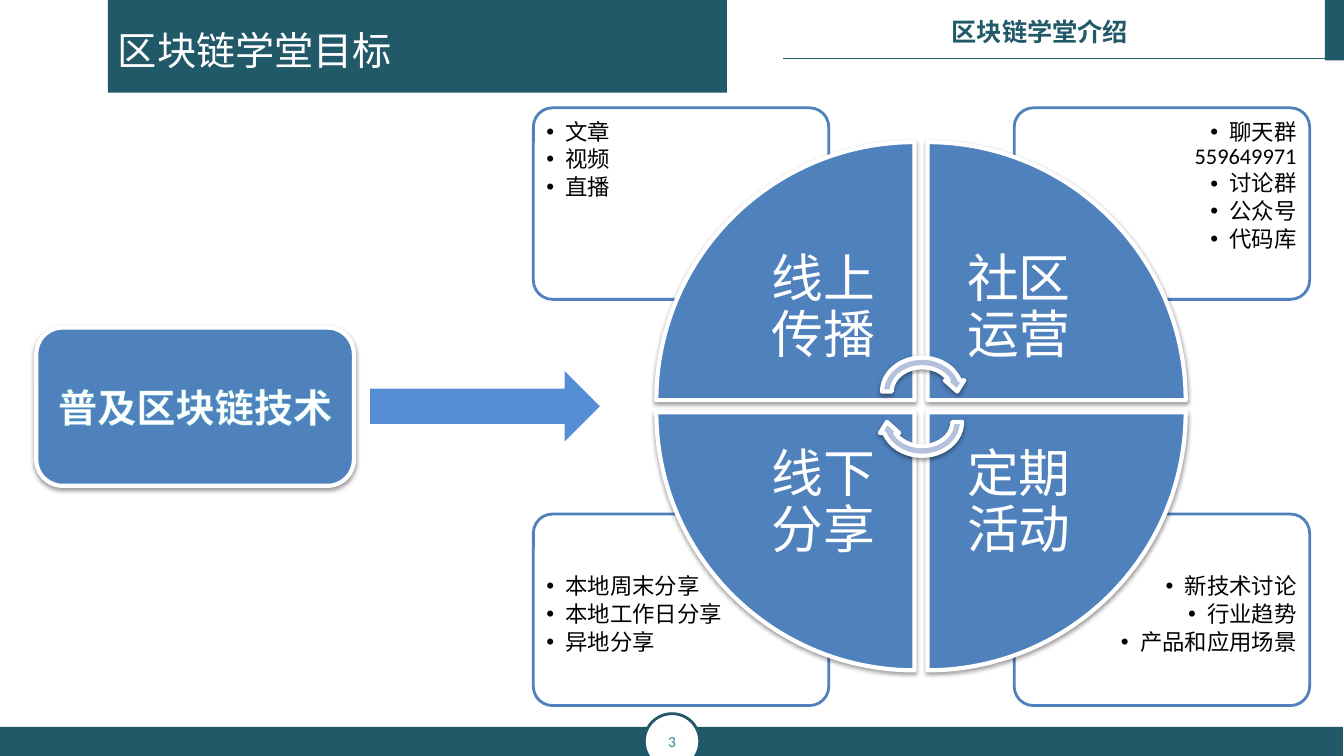
from dataclasses import dataclass

from lxml import etree
from pptx import Presentation
from pptx.dml.color import RGBColor
from pptx.enum.shapes import MSO_CONNECTOR, MSO_SHAPE
from pptx.enum.text import MSO_ANCHOR, MSO_AUTO_SIZE, PP_ALIGN
from pptx.oxml.ns import qn
from pptx.util import Emu, Pt

RECT, OVAL, ROUND = MSO_SHAPE.RECTANGLE, MSO_SHAPE.OVAL, MSO_SHAPE.ROUNDED_RECTANGLE
WEDGE, LOOP, ARROW = MSO_SHAPE.PIE_WEDGE, MSO_SHAPE.CIRCULAR_ARROW, MSO_SHAPE.RIGHT_ARROW
STRAIGHT = MSO_CONNECTOR.STRAIGHT
LEFT, CENTER, RIGHT = PP_ALIGN.LEFT, PP_ALIGN.CENTER, PP_ALIGN.RIGHT
TOP, MIDDLE = MSO_ANCHOR.TOP, MSO_ANCHOR.MIDDLE
FIXED = MSO_AUTO_SIZE.NONE

SCALE = 9144  # EMU in one px, 100 px to the inch
TEAL, BLUE, WHITE, BLACK = "215968", "4F81BD", "FFFFFF", "000000"
LATIN, HAN = "Calibri", "Noto Sans CJK SC"
COMPARE = 4  # layout with a title and four body placeholders

CARD_W, CARD_H, LIST_W, LIST_H, GAP = 293, 190, 197, 134, 4
CARD_X, CARD_Y = (529, 1006), (107, 510)
PIE, LABEL = 256, 181
PIE_X, PIE_Y = (651, 920), (141, 409)


@dataclass(frozen=True)
class Part:
    """One quarter of the wheel with its card."""
    col: int
    row: int
    turn: int
    label: str
    items: tuple[str, ...]


@dataclass(frozen=True)
class Face:
    size: float
    hue: str
    name: str = LATIN
    bold: bool = False


PARTS = (
    Part(0, 0, 0, "线上传播", ("文章", "视频", "直播")),
    Part(1, 0, 90, "社区运营", ("聊天群 559649971", "讨论群", "公众号", "代码库")),
    Part(1, 1, 180, "定期活动", ("新技术讨论", "行业趋势", "产品和应用场景")),
    Part(0, 1, 270, "线下分享", ("本地周末分享", "本地工作日分享", "异地分享")),
)
BARS = ((107, 0, 614, 92), (1314, 0, 20, 60), (0, 721, 1332, 29))


def px(n: int) -> Emu:
    return Emu(n * SCALE)


def rgb(hue: str) -> RGBColor:
    return RGBColor.from_string(hue)


def node(up, tag: str, **attrs):
    return etree.SubElement(up, qn(tag), {k: str(v) for k, v in attrs.items()})


def draw(slide, kind, box, fill: str, line: str = "", width: float = 0, turn: int = 0):
    shape = slide.shapes.add_shape(kind, *map(px, box))
    shape.shadow.inherit = False
    shape.rotation = turn
    shape.fill.solid()
    shape.fill.fore_color.rgb = rgb(fill)
    if line:
        shape.line.color.rgb = rgb(line)
        shape.line.width = Pt(width)
    else:
        shape.line.fill.background()
    return shape


def lift(slide, kind, box, fill: str, turn: int = 0):
    """Draw a shape with a white rim and a soft shadow."""
    shape = draw(slide, kind, box, fill, WHITE, 3, turn)
    fx = shape._element.spPr.find(qn("a:effectLst"))
    cast = node(fx, "a:outerShdw", blurRad=Pt(3.1), dist=Pt(1.6), dir=5400000, rotWithShape=0)
    node(node(cast, "a:srgbClr", val=BLACK), "a:alpha", val=38000)
    return shape


def frame(shape, anchor, wrap: bool = True, inset: int = -1):
    text = shape.text_frame
    text.auto_size = FIXED
    text.word_wrap = wrap
    text.vertical_anchor = anchor
    if inset >= 0:
        text.margin_left = text.margin_right = px(inset)
        text.margin_top = text.margin_bottom = px(inset)
    return text


def write(para, words: str, face: Face, align=LEFT):
    para.alignment = align
    run = para.add_run()
    run.text = words
    font = run.font
    font.size, font.bold, font.name = Pt(face.size), face.bold, face.name
    font.color.rgb = rgb(face.hue)
    node(run._r.get_or_add_rPr(), "a:ea", typeface=face.name)
    return run


def place(slide, shape, box) -> None:
    """Move a placeholder to its box and to the front."""
    shape.left, shape.top, shape.width, shape.height = map(px, box)
    slide.shapes._spTree.append(shape._element)


def add_card(slide, part: Part, body) -> None:
    x, y = CARD_X[part.col], CARD_Y[part.row]
    card = draw(slide, ROUND, (x, y, CARD_W, CARD_H), WHITE, BLUE, 2)
    card.adjustments[0] = 0.1
    tint = card._element.spPr.find(qn("a:solidFill"))[0]
    node(tint, "a:alpha", val=90000)
    left = x + GAP + part.col * (CARD_W - LIST_W - 2 * GAP)
    top = y + GAP + part.row * (CARD_H - LIST_H - 2 * GAP)
    place(slide, body, (left, top, LIST_W, LIST_H))
    text = frame(body, TOP, inset=9)
    for i, item in enumerate(part.items):
        para = text.add_paragraph() if i else text.paragraphs[0]
        props = para._p.get_or_add_pPr()
        props.set("marL", str(px(19)))
        props.set("indent", str(px(-19)))
        node(props, "a:buFont", typeface="Arial")
        node(props, "a:buChar", char="•")
        para.line_spacing, para.space_before, para.space_after = 0.9, Pt(0), Pt(2.4)
        write(para, item, Face(16, BLACK), RIGHT if part.col else LEFT)


def add_pie(slide, part: Part) -> None:
    x, y = PIE_X[part.col], PIE_Y[part.row]
    lift(slide, WEDGE, (x, y, PIE, PIE), BLUE, part.turn)
    left = x + (1 - part.col) * (PIE - LABEL)
    top = y + (1 - part.row) * (PIE - LABEL)
    box = slide.shapes.add_textbox(*map(px, (left, top, LABEL, LABEL)))
    para = frame(box, MIDDLE, inset=29).paragraphs[0]
    para.line_spacing = 0.9
    write(para, part.label, Face(37, WHITE), CENTER)


def add_theme(slide) -> None:
    for bar in BARS:
        draw(slide, RECT, bar, TEAL)
    badge = draw(slide, OVAL, (639, 708, 55, 55), WHITE, TEAL, 2)
    write(frame(badge, MIDDLE).paragraphs[0], "3", Face(11, "31859C"), CENTER)
    rule = slide.shapes.add_connector(STRAIGHT, px(1324), px(58), px(777), px(58))
    rule.line.color.rgb = rgb(TEAL)
    rule.line.width = Pt(0.75)
    node(rule._element.spPr, "a:effectLst")
    head = slide.shapes.add_textbox(*map(px, (934, 11, 197, 40)))
    write(frame(head, TOP, False).paragraphs[0], "区块链学堂介绍", Face(18, TEAL, HAN, True))


def add_goal(slide) -> None:
    goal = lift(slide, ROUND, (36, 325, 315, 157), BLUE)
    para = frame(goal, MIDDLE).paragraphs[0]
    run = write(para, "普及区块链技术", Face(28, WHITE, HAN, True), CENTER)
    props = run._r.get_or_add_rPr()
    edge = node(props, "a:ln", w=Pt(0.8))
    node(node(edge, "a:solidFill"), "a:srgbClr", val="4BACC6")
    props.insert(0, edge)
    draw(slide, ARROW, (367, 368, 228, 70), "558ED5")


def main() -> None:
    deck = Presentation()
    deck.slide_width, deck.slide_height = px(1333), px(750)
    slide = deck.slides.add_slide(deck.slide_layouts[COMPARE])
    title, *lists = slide.placeholders
    add_theme(slide)
    place(slide, title, (107, 21, 295, 57))
    write(frame(title, MIDDLE, False).paragraphs[0], "区块链学堂目标", Face(28, WHITE))
    for part, body in zip(PARTS, lists):
        add_card(slide, part, body)
    for part in PARTS:
        add_pie(slide, part)
    for y, turn in ((350, 0), (380, 180)):
        lift(slide, LOOP, (870, y, 89, 77), "B3C1DB", turn)
    add_goal(slide)
    deck.save("out.pptx")


if __name__ == "__main__":
    main()
